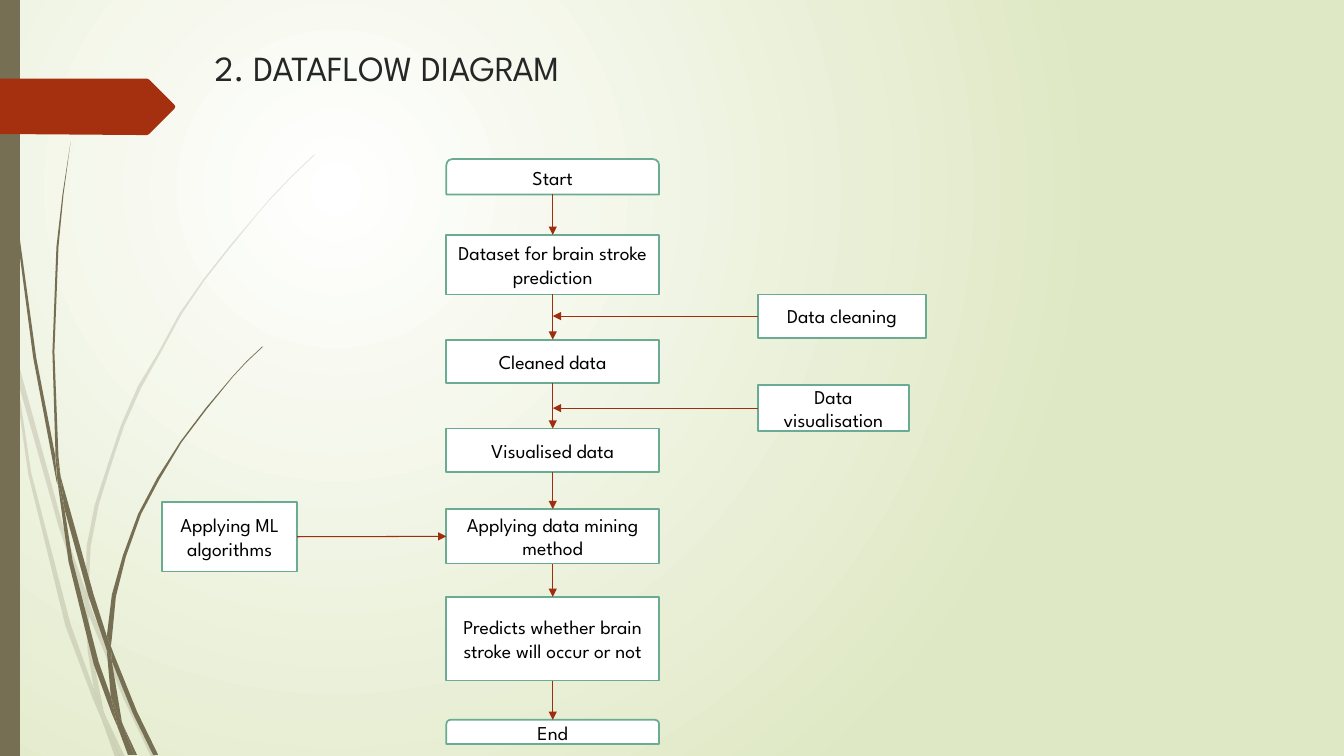
from dataclasses import dataclass
from itertools import pairwise

from lxml.etree import SubElement
from pptx import Presentation
from pptx.dml.color import RGBColor
from pptx.enum.shapes import MSO_CONNECTOR, MSO_SHAPE
from pptx.enum.text import MSO_ANCHOR, PP_ALIGN
from pptx.oxml.ns import qn
from pptx.shapes.autoshape import Shape
from pptx.slide import Slide
from pptx.util import Cm, Pt


@dataclass(frozen=True)
class Theme:
    font: str = "League Spartan"
    title_size: float = 25.2
    label_size: float = 14
    title: str = "262626"
    label: str = "000000"
    box_fill: str = "FFFFFF"
    box_line: str = "6AAC91"
    arrow: str = "9E2E0F"
    flag: str = "A53010"
    grass: str = "766F54"
    glow: str = "FFFFFF"
    meadow: str = "DFE8C4"


@dataclass(frozen=True)
class Step:
    """A box of the chart, in centimetres."""
    text: str
    top: float
    height: float
    left: float = 11.25
    width: float = 5.36
    kind: MSO_SHAPE = MSO_SHAPE.RECTANGLE


THEME = Theme()
ROUNDED = MSO_SHAPE.ROUND_2_SAME_RECTANGLE
TOP, LEFT, BOTTOM, RIGHT = range(4)
OUTLINE_UNIT = Cm(2.54) / 100  # outlines are in hundredths of an inch

FLOW = [
    Step("Start", 4.01, 0.89, kind=ROUNDED),
    Step("Dataset for brain stroke prediction", 5.92, 1.5),
    Step("Cleaned data", 8.56, 1.09),
    Step("Visualised data", 10.8, 1.09),
    Step("Applying data mining method", 12.83, 1.37),
    Step("Predicts whether brain stroke will occur or not", 15.04, 2.11),
    Step("End", 18.14, 0.61, kind=ROUNDED),
]
RIGHT_INPUTS = [
    Step("Data cleaning", 7.42, 1.09, 19.1, 4.24),
    Step("Data visualisation", 9.7, 1.17, 19.1, 3.81),
]
LEFT_INPUT = Step("Applying ML algorithms", 12.65, 1.75, 4.09, 3.4)
MINING = 4  # position in FLOW that the left input feeds

PALE_GRASS = [
    "11,350 9,322 0,282 0,299 10,344",
    "58,522 84,599 85,586 62,520 14,345 17,376",
    "92,607 88,596 88,610 123,694 150,751 155,751 127,692",
    "119,751 124,751 105,711",
    "93,683 70,619 31,469 17,376 11,350 28,470 65,621 92,693 101,714 99,707",
    "84,599 87,646 93,683 96,692 105,711 103,706 91,646 88,610 88,608",
    "88,584 90,542 98,501 110,462 123,423 140,385 160,349 180,312 203,278 229,245 255,213 "
    "268,198 290,175 312,154 312,153 289,175 268,197 228,244 202,277 178,311 158,348 137,383 "
    "120,422 107,461 94,501 86,542 85,586 88,596",
    "101,714 114,751 119,751",
    "88,608 88,596 85,586 84,599",
    "96,692 93,683 99,707 101,714 119,751 105,711",
]
DARK_GRASS = [
    "7,110 17,233 33,355 56,477 57,481 55,457 55,453 36,355 19,232 8,109 5,48 4,0 3,0 4,48",
    "88,592 106,645 106,631 93,590 60,472 64,505",
    "113,649 110,641 111,656 132,708 152,749 157,749 136,706",
    "110,691 98,657 72,556 64,505 57,477 68,557 93,659 111,708 117,722 116,717",
    "60,472 58,453 54,349 58,245 63,193 70,141 62,193 56,245 52,349 55,449",
    "133,749 136,749 122,719",
    "57,477 64,505 60,472 55,449 55,453",
    "111,633 115,592 125,552 140,510 158,476 180,439 205,406 231,374 245,359 261,344 260,344 "
    "245,358 231,373 204,405 179,438 156,474 137,510 122,551 111,590 106,631 110,641",
    "117,722 127,749 131,749",
    "106,645 110,691 116,706 122,719 121,716 111,656 109,651",
    "106,645 109,651 111,656 110,641 106,631",
    "116,706 110,691 116,717 117,722 130,749 133,749 122,719",
]
FLAG = "0,78 146,78 148,79 173,104 174,106 173,108 148,133 146,134 136,134 0,133"


def paint_background(page: Slide) -> None:
    fill = page.background.fill
    fill.gradient()
    for stop, color in zip(fill.gradient_stops, (THEME.glow, THEME.meadow)):
        stop.color.rgb = RGBColor.from_string(color)
    # Radial gradient centred in the upper left
    gradient = page._element.find(".//" + qn("a:gradFill"))
    gradient.remove(gradient.find(qn("a:lin")))
    circle = SubElement(gradient, qn("a:path"), path="circle")
    SubElement(circle, qn("a:fillToRect"), l="50000", t="50000", r="100000", b="100000")


def paint(shape: Shape, color: str) -> None:
    shape.shadow.inherit = False
    shape.fill.solid()
    shape.fill.fore_color.rgb = RGBColor.from_string(color)
    shape.line.fill.background()


def add_outline(page: Slide, outline: str, color: str, opacity: int = 100) -> None:
    points = [tuple(map(int, pair.split(","))) for pair in outline.split()]
    builder = page.shapes.build_freeform(*points[0], scale=OUTLINE_UNIT)
    builder.add_line_segments(points[1:], close=True)
    shape = builder.convert_to_shape()
    paint(shape, color)
    if opacity < 100:
        tint = shape._element.spPr.find(".//" + qn("a:srgbClr"))
        SubElement(tint, qn("a:alpha"), val=str(opacity * 1000))


def write(shape: Shape, text: str, size: float, color: str, align: PP_ALIGN) -> None:
    frame = shape.text_frame
    frame.word_wrap = True
    frame.vertical_anchor = MSO_ANCHOR.MIDDLE
    para = frame.paragraphs[0]
    para.text = text
    para.alignment = align
    para.font.name = THEME.font
    para.font.size = Pt(size)
    para.font.color.rgb = RGBColor.from_string(color)


def add_step(page: Slide, step: Step) -> Shape:
    box = page.shapes.add_shape(
        step.kind, Cm(step.left), Cm(step.top), Cm(step.width), Cm(step.height))
    paint(box, THEME.box_fill)
    box.line.color.rgb = RGBColor.from_string(THEME.box_line)
    box.line.width = Pt(1.25)
    write(box, step.text, THEME.label_size, THEME.label, PP_ALIGN.CENTER)
    return box


def side_middle(box: Shape, side: int) -> tuple[int, int]:
    across = {LEFT: 0, RIGHT: box.width}.get(side, box.width // 2)
    down = {TOP: 0, BOTTOM: box.height}.get(side, box.height // 2)
    return box.left + across, box.top + down


def add_arrow(page: Slide, source: Shape, source_side: int, target: Shape | None = None,
              target_side: int = TOP, tip: tuple[int, int] = (0, 0)) -> None:
    """Runs to a side of the target, or to the tip when there is no target."""
    end = side_middle(target, target_side) if target else tip
    arrow = page.shapes.add_connector(
        MSO_CONNECTOR.STRAIGHT, *side_middle(source, source_side), *end)
    if source.auto_shape_type == MSO_SHAPE.RECTANGLE:
        arrow.begin_connect(source, source_side)
    if target and target.auto_shape_type == MSO_SHAPE.RECTANGLE:
        arrow.end_connect(target, target_side)
    arrow.line.color.rgb = RGBColor.from_string(THEME.arrow)
    arrow.line.width = Pt(0.75)
    SubElement(arrow.line._get_or_add_ln(), qn("a:tailEnd"), type="triangle")
    SubElement(arrow._element.spPr, qn("a:effectLst"))


def main() -> None:
    deck = Presentation()
    deck.slide_width, deck.slide_height = Cm(33.87), Cm(19.05)
    page = deck.slides.add_slide(deck.slide_layouts[6])

    # Backdrop: grass, side bar and flag
    paint_background(page)
    for blade in PALE_GRASS:
        add_outline(page, blade, THEME.grass, opacity=20)
    for blade in DARK_GRASS:
        add_outline(page, blade, THEME.grass)
    bar = page.shapes.add_shape(MSO_SHAPE.RECTANGLE, 0, 0, Cm(0.5), deck.slide_height)
    paint(bar, THEME.grass)
    add_outline(page, FLAG, THEME.flag)

    # Title
    title = page.shapes.add_textbox(Cm(5.16), Cm(0.99), Cm(11.38), Cm(1.42))
    write(title, "2. DATAFLOW DIAGRAM", THEME.title_size, THEME.title, PP_ALIGN.LEFT)

    # Main flow
    boxes = [add_step(page, step) for step in FLOW]
    for upper, lower in pairwise(boxes):
        add_arrow(page, upper, BOTTOM, lower, TOP)

    # Inputs from the sides
    flow_middle = side_middle(boxes[0], BOTTOM)[0]
    for step in RIGHT_INPUTS:
        box = add_step(page, step)
        add_arrow(page, box, LEFT, tip=(flow_middle, side_middle(box, LEFT)[1]))
    add_arrow(page, add_step(page, LEFT_INPUT), RIGHT, boxes[MINING], LEFT)

    deck.save("out.pptx")


if __name__ == "__main__":
    main()
